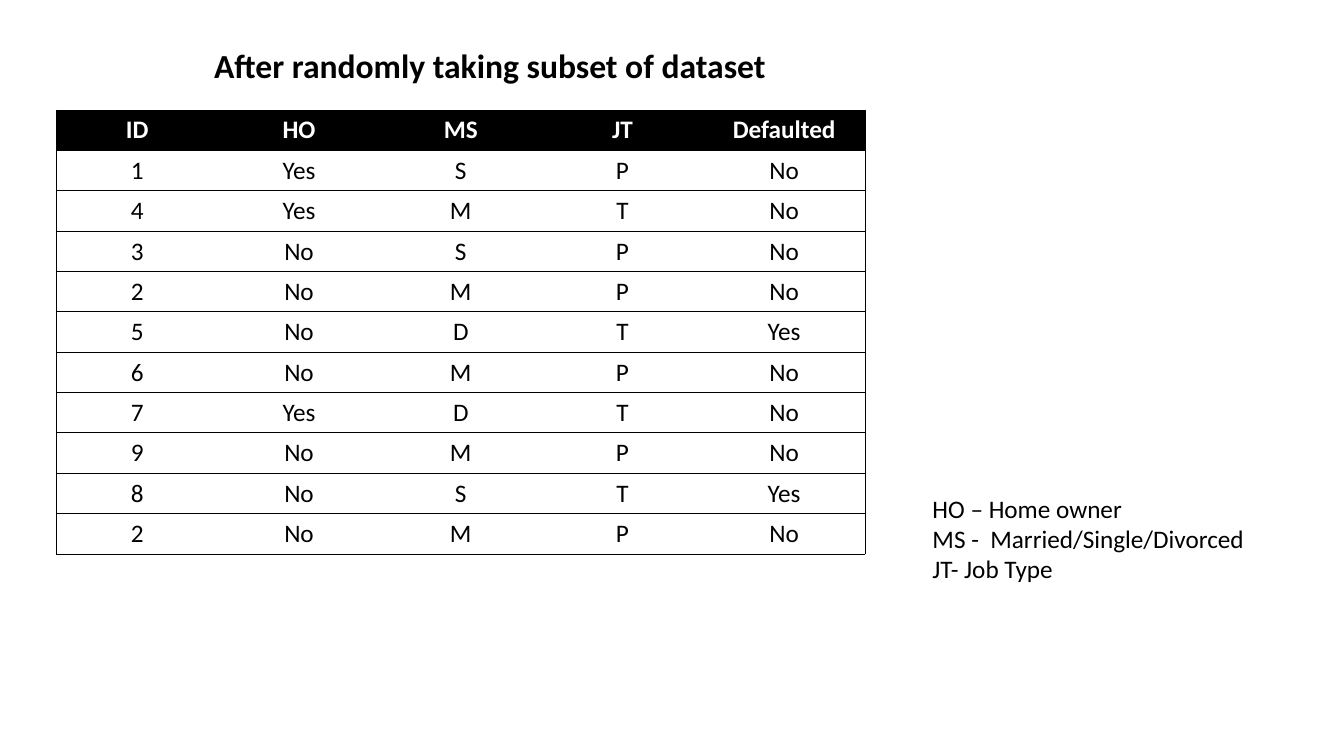
from dataclasses import dataclass

import lxml.etree
import pptx
import pptx.dml.color
import pptx.enum.text
import pptx.oxml.ns
import pptx.shapes.autoshape
import pptx.slide
import pptx.table
import pptx.util

Inches = pptx.util.Inches
Pt = pptx.util.Pt
Color = pptx.dml.color.RGBColor
Align = pptx.enum.text.PP_ALIGN


@dataclass(frozen=True)
class Theme:
    font: str = "Calibri"
    ink: Color = Color(0x00, 0x00, 0x00)
    paper: Color = Color(0xFF, 0xFF, 0xFF)
    title_size: pptx.util.Length = Pt(24)
    body_size: pptx.util.Length = Pt(18)
    border: pptx.util.Length = Pt(0.5)


@dataclass(frozen=True)
class TextBlock:
    left: float
    top: float
    width: float
    height: float
    lines: tuple[str, ...]
    size: pptx.util.Length
    bold: bool = False
    align: Align = Align.LEFT
    line_spacing: float = 1.0
    space_before: pptx.util.Length = Pt(0)


THEME = Theme()

TITLE = TextBlock(
    0.56, 0.44, 8.6, 0.65, ("After randomly taking subset of dataset",),
    THEME.title_size, True, Align.CENTER, 0.9, Pt(10),
)
LEGEND = TextBlock(
    9.15, 4.84, 3.92, 1.31,
    ("HO – Home owner", "MS -  Married/Single/Divorced", "JT- Job Type"),
    THEME.body_size,
)

TABLE_LEFT, TABLE_TOP, TABLE_WIDTH, TABLE_HEIGHT = 0.56, 1.09, 8.02, 4.4
RECORDS = (
    ("ID", "HO", "MS", "JT", "Defaulted"),
    ("1", "Yes", "S", "P", "No"),
    ("4", "Yes", "M", "T", "No"),
    ("3", "No", "S", "P", "No"),
    ("2", "No", "M", "P", "No"),
    ("5", "No", "D", "T", "Yes"),
    ("6", "No", "M", "P", "No"),
    ("7", "Yes", "D", "T", "No"),
    ("9", "No", "M", "P", "No"),
    ("8", "No", "S", "T", "Yes"),
    ("2", "No", "M", "P", "No"),
)


def style_paragraph(para, size: pptx.util.Length, color: Color, bold: bool, align: Align) -> None:
    para.alignment = align
    para.font.name = THEME.font
    para.font.size = size
    para.font.bold = bold
    para.font.color.rgb = color


def add_text(page: pptx.slide.Slide, block: TextBlock) -> None:
    box = page.shapes.add_textbox(
        Inches(block.left), Inches(block.top), Inches(block.width), Inches(block.height)
    )
    frame = box.text_frame
    frame.word_wrap = True
    frame.text = "\n".join(block.lines)
    for para in frame.paragraphs:
        style_paragraph(para, block.size, THEME.ink, block.bold, block.align)
        para.line_spacing = block.line_spacing
        para.space_before = block.space_before


def set_borders(cell: pptx.table._Cell, visible_sides: str) -> None:
    """Draw the named sides (L, R, T, B) and hide the others."""
    properties = cell._tc.get_or_add_tcPr()
    qualified = pptx.oxml.ns.qn
    for side in "LRTB":
        line = lxml.etree.SubElement(properties, qualified(f"a:ln{side}"), w=str(THEME.border))
        if side in visible_sides:
            fill = lxml.etree.SubElement(line, qualified("a:solidFill"))
            lxml.etree.SubElement(fill, qualified("a:srgbClr"), val=str(THEME.ink))
        else:
            lxml.etree.SubElement(line, qualified("a:noFill"))


def add_records(page: pptx.slide.Slide) -> None:
    row_count, column_count = len(RECORDS), len(RECORDS[0])
    table = page.shapes.add_table(
        row_count, column_count,
        Inches(TABLE_LEFT), Inches(TABLE_TOP), Inches(TABLE_WIDTH), Inches(TABLE_HEIGHT),
    ).table
    table.horz_banding = False
    for row, record in enumerate(RECORDS):
        is_header = row == 0
        for column, value in enumerate(record):
            cell = table.cell(row, column)
            # Horizontal rules everywhere, vertical ones only on the outside
            sides = "TB" + "L" * (column == 0) + "R" * (column == column_count - 1)
            set_borders(cell, sides)
            cell.fill.solid()
            cell.fill.fore_color.rgb = THEME.ink if is_header else THEME.paper
            cell.text = value
            color = THEME.paper if is_header else THEME.ink
            style_paragraph(
                cell.text_frame.paragraphs[0], THEME.body_size, color, is_header, Align.CENTER
            )


def main() -> None:
    deck = pptx.Presentation()
    deck.slide_width, deck.slide_height = Inches(13.33), Inches(7.5)
    page = deck.slides.add_slide(deck.slide_layouts[6])

    # Title, sampled records and column legend
    add_text(page, TITLE)
    add_records(page)
    add_text(page, LEGEND)

    deck.save("out.pptx")


if __name__ == "__main__":
    main()
